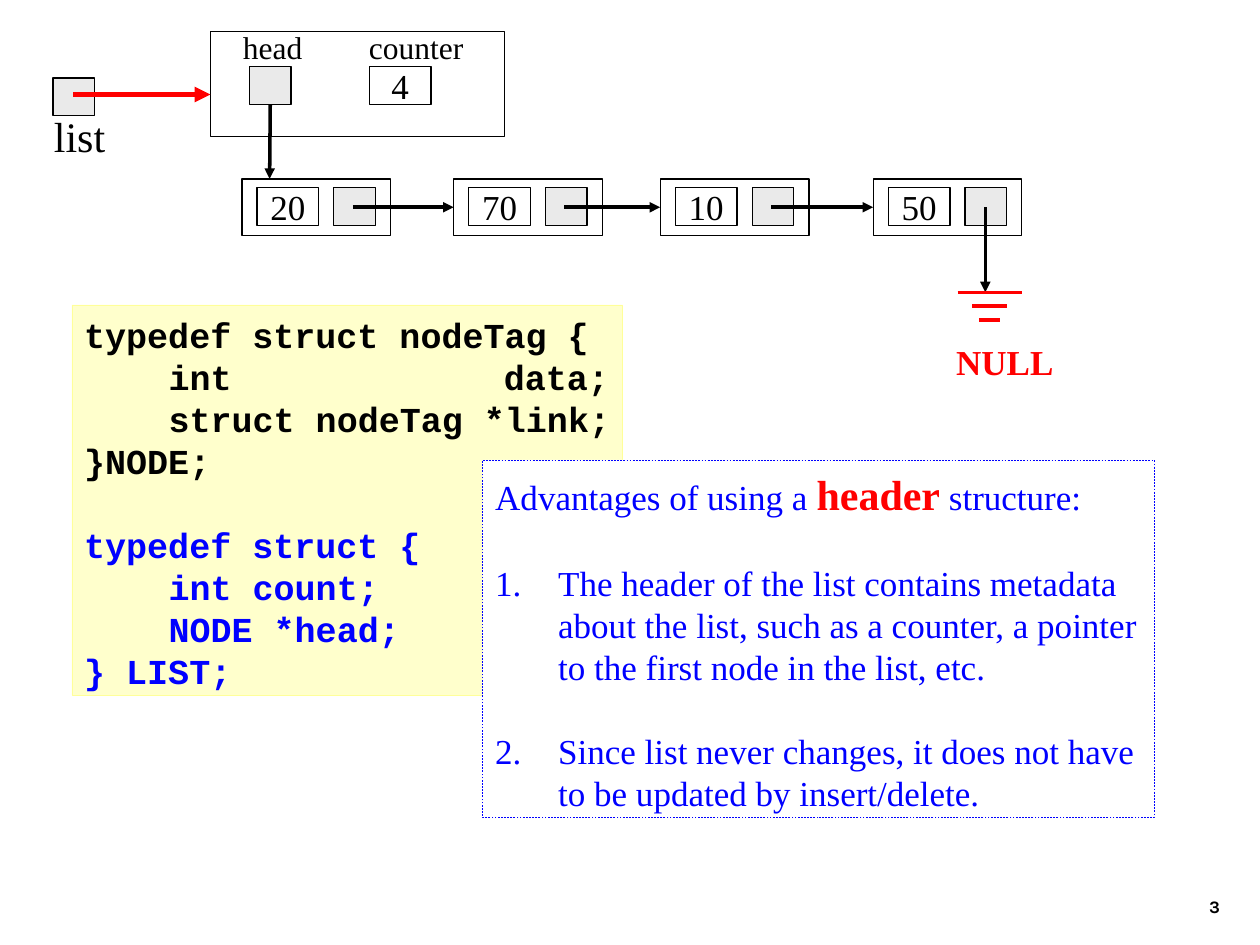
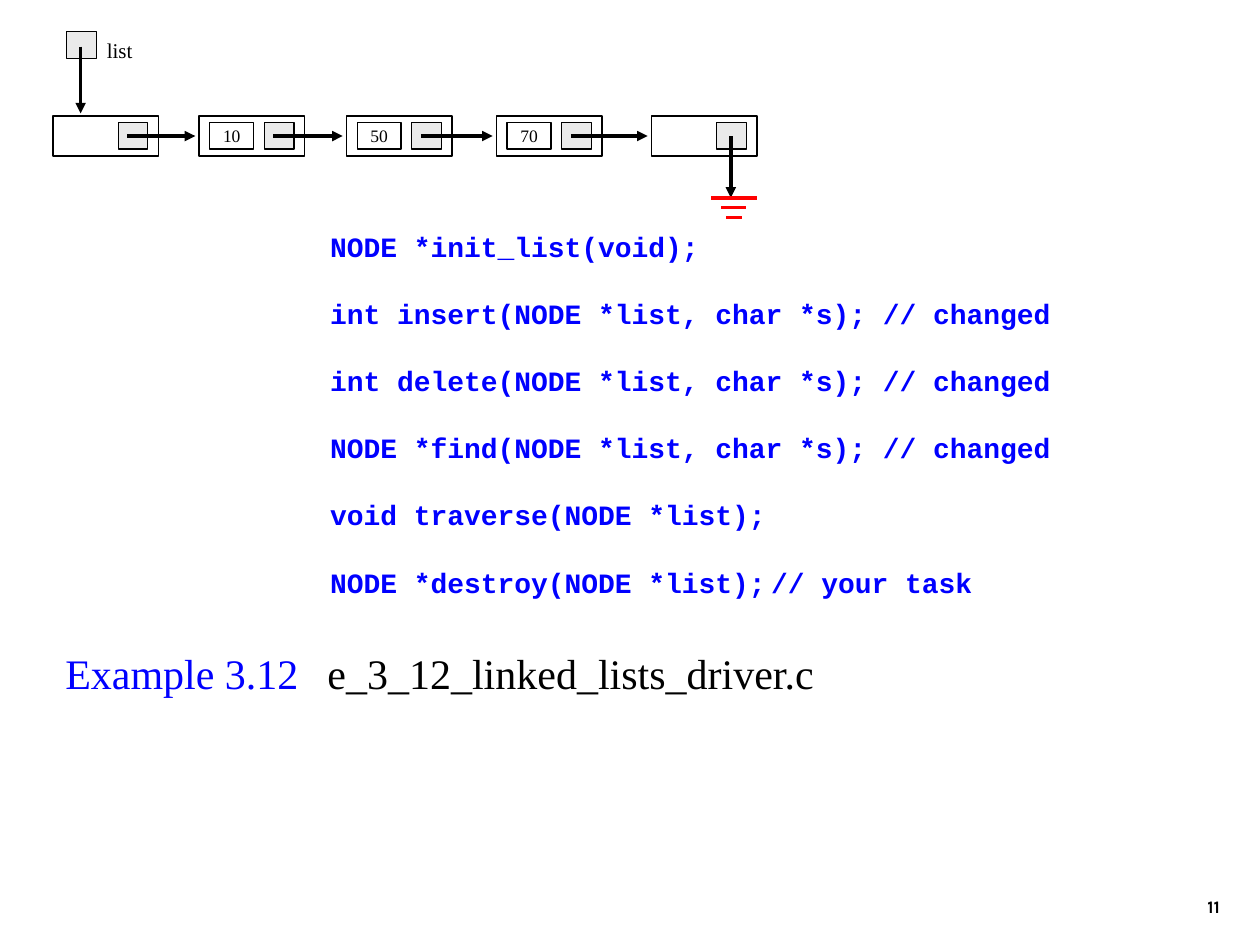
from lxml.etree import SubElement
from pptx import Presentation
from pptx.dml.color import RGBColor
from pptx.enum.dml import MSO_LINE
from pptx.enum.shapes import MSO_CONNECTOR, MSO_SHAPE
from pptx.enum.text import MSO_ANCHOR, MSO_AUTO_SIZE, PP_ALIGN
from pptx.oxml.ns import qn
from pptx.util import Inches, Pt

HUES = {"ink": "000000", "paper": "FFFFFF", "link": "EAEAEA", "red": "FF0000",
        "blue": "0000FF", "note": "FFFFCC", "edge": "FFFF99"}
SERIF, MONO, SANS = "Times New Roman", "Courier New", "Karla"
WIDE, HIGH = 10, 7.5
LEAD = 1.2  # line pitch as a share of the text size

# Full-size node; the smaller diagram scales it
NODE = (1.18, 0.45)
VALUE = (0.49, 0.3)
LINK = (0.33, 0.3)
VALUE_X, LINK_X, PAD = 0.12, 0.73, 0.07
BARS, BAR_GAP = (0.51, 0.28, 0.17), 0.11
SMALL = 0.71


def hue(name):
    return RGBColor.from_string(HUES[name])


def style(par, size, color="ink", face=SERIF, bold=False):
    font = par.font
    font.size, font.name, font.bold = Pt(size), face, bold
    font.color.rgb = hue(color)


def frame(shape, wrap=False, top=0.05, anchor=MSO_ANCHOR.TOP):
    """Set the insets and wrapping of a shape's text and return its frame."""
    text = shape.text_frame
    text.auto_size = MSO_AUTO_SIZE.NONE
    text.word_wrap, text.vertical_anchor = wrap, anchor
    text.margin_left = text.margin_right = Inches(0.1)
    text.margin_top, text.margin_bottom = Inches(top), Inches(0.05)
    return text


def label(slide, text, x, y, w, h, size, **look):
    box = slide.shapes.add_textbox(Inches(x), Inches(y), Inches(w), Inches(h))
    par = frame(box).paragraphs[0]
    par.text = text
    style(par, size, **look)
    return box


def rect(slide, x, y, w, h, fill="paper", line="ink", width=0.75):
    box = slide.shapes.add_shape(MSO_SHAPE.RECTANGLE, Inches(x), Inches(y),
                                 Inches(w), Inches(h))
    box.shadow.inherit = False
    paint(box, fill, line, width)
    return box


def paint(box, fill, line, width):
    if fill:
        box.fill.solid()
        box.fill.fore_color.rgb = hue(fill)
    else:
        box.fill.background()
    box.line.color.rgb = hue(line)
    box.line.width = Pt(width)


def value(slide, text, x, y, size, k=1):
    box = rect(slide, x, y, VALUE[0] * k, VALUE[1] * k)
    par = frame(box, anchor=MSO_ANCHOR.MIDDLE).paragraphs[0]
    par.text, par.alignment = text, PP_ALIGN.CENTER
    style(par, size)


def link(slide, x, y, k=1):
    return rect(slide, x, y, LINK[0] * k, LINK[1] * k, "link")


def node(slide, text, x, y, size, k=1):
    box = rect(slide, x, y, NODE[0] * k, NODE[1] * k)
    if text:
        value(slide, text, x + VALUE_X * k, y + PAD * k, size, k)
    link(slide, x + LINK_X * k, y + PAD * k, k)
    return box


def stroke(slide, x1, y1, x2, y2, color="ink", width=2, head=True):
    wire = slide.shapes.add_connector(MSO_CONNECTOR.STRAIGHT, Inches(x1), Inches(y1),
                                      Inches(x2), Inches(y2))
    wire.line.color.rgb, wire.line.width = hue(color), Pt(width)
    if head:
        SubElement(wire.line._get_or_add_ln(), qn("a:tailEnd"), type="triangle")
    SubElement(wire._element.spPr, qn("a:effectLst"))
    return wire


def ground(slide, x, y1, y2, k=1):
    """Draw the arrow down to the three bars that stand for NULL."""
    stroke(slide, x, y1, x, y2)
    mid = x + 0.035 * k
    for row, bar in enumerate(BARS):
        y, half = y2 + row * BAR_GAP * k, bar * k / 2
        stroke(slide, mid - half, y, mid + half, y, "red", head=False)


def chain(slide, cells, y, size, k, start, gap=0):
    """Draw the nodes, then an arrow from each link to the next node."""
    boxes = [node(slide, text, x, y, size, k) for text, x in cells]
    mid = y + NODE[1] * k / 2
    for (_, x), (_, goal), box in zip(cells, cells[1:], boxes[1:]):
        wire = stroke(slide, x + start, mid, goal - gap, mid)
        if not gap:
            wire.end_connect(box, 1)
    return mid


def stops(par, *spots):
    tabs = SubElement(par._p.get_or_add_pPr(), qn("a:tabLst"))
    for spot in spots:
        SubElement(tabs, qn("a:tab"), pos=str(Inches(spot)), algn="l")


def indent(par, left=0, mark="buNone", **kind):
    props = par._p.get_or_add_pPr()
    props.set("marL", str(Inches(left)))
    props.set("indent", str(-Inches(left)))
    SubElement(props, qn("a:" + mark), **kind)


def lines(text, rows, size, gaps=()):
    """Fill a frame with paragraphs; rows listed in gaps get a line of space above."""
    for row, words in enumerate(rows):
        par = text.paragraphs[0] if row == 0 else text.add_paragraph()
        par.text = words
        par.line_spacing = Pt(size * LEAD)
        par.space_before = Pt(size * LEAD if row in gaps else 0)
    return text.paragraphs


def body(slide, x, y, w, h):
    """Move the body placeholder into place, above what is drawn so far."""
    box = slide.placeholders[1]
    box.left, box.top, box.width, box.height = map(Inches, (x, y, w, h))
    slide.shapes._spTree.append(box._element)
    return box


def page(deck, number):
    slide = deck.slides.add_slide(deck.slide_layouts[1])
    title = slide.shapes.title._element
    title.getparent().remove(title)
    box = label(slide, number, 7.7, 6.83, 2.08, 0.5, 10, face=SANS, bold=True)
    text = frame(box, True, anchor=MSO_ANCHOR.BOTTOM)
    text.paragraphs[0].alignment = PP_ALIGN.RIGHT
    return slide


def header_map(slide):
    cells = [("20", 1.92), ("70", 3.6), ("10", 5.24), ("50", 6.93)]
    mid = chain(slide, cells, 1.42, 20, 1, 0.88)
    ground(slide, 7.82, mid, 2.32)
    label(slide, "NULL", 7.49, 2.65, 0.97, 0.44, 20, color="red", bold=True)
    rect(slide, 1.67, 0.25, 2.33, 0.83, None, width=0.25)
    label(slide, "head", 1.83, 0.17, 0.67, 0.4, 18)
    label(slide, "counter", 2.83, 0.17, 0.95, 0.4, 18)
    value(slide, "4", 2.93, 0.53, 20)
    head = link(slide, 1.98, 0.53)
    stroke(slide, 2.14, 0.83, 2.14, 1.42).begin_connect(head, 2)
    label(slide, "list", 0.33, 0.83, 0.61, 0.5, 24)
    link(slide, 0.42, 0.62)
    stroke(slide, 0.58, 0.75, 1.67, 0.75, "red", 3)


def structs(slide):
    box = rect(slide, 0.57, 2.42, 4.37, 3.1, "note", "edge", 0.25)
    rows = ["typedef struct nodeTag {", "\tint\tdata;", "\tstruct nodeTag *link;",
            "}NODE;", "typedef struct {", "\tint count;", "\tNODE *head;", "} LIST;"]
    pars = lines(frame(box, top=0.07), rows, 20, gaps=(4,))
    for row, par in enumerate(pars):
        par.alignment = PP_ALIGN.LEFT
        style(par, 20, "ink" if row < 4 else "blue", MONO, True)
        stops(par, 0.67, 3.33)


def merits(slide):
    box = body(slide, 3.83, 3.65, 5.33, 2.84)
    paint(box, "paper", "blue", 0.25)
    box.line.dash_style = MSO_LINE.DASH
    rows = ["", "The header of the list contains metadata about the list, such as "
            "a counter, a pointer to the first node in the list, etc.",
            "Since list never changes, it does not have to be updated by insert/delete."]
    lead, *items = lines(frame(box, True, 0.07), rows, 20, gaps=(1, 2))
    style(lead, 20, "blue")
    lead.line_spacing = Pt(24 * LEAD)
    indent(lead)
    for words in ("Advantages of using a ", "header", " structure:"):
        run = lead.add_run()
        run.text = words
        if words == "header":
            run.font.size, run.font.bold = Pt(24), True
            run.font.color.rgb = hue("red")
    for item in items:
        style(item, 20, "blue")
        indent(item, 0.5, "buAutoNum", type="arabicPeriod")


def dummy_map(slide):
    label(slide, "list", 0.75, 0.25, 0.4, 0.3, 12)
    link(slide, 0.53, 0.25, SMALL)
    stroke(slide, 0.64, 0.37, 0.64, 0.9)
    cells = [("", 0.42), ("10", 1.58), ("50", 2.75), ("70", 3.94), ("", 5.17)]
    mid = chain(slide, cells, 0.92, 10, SMALL, 0.59, 0.03)
    ground(slide, 5.8, mid, 1.57, SMALL)


def calls(slide):
    box = body(slide, 2.52, 1.75, 6.98, 3.03)
    rows = ["NODE *init_list(void);",
            "int insert(NODE *list, char *s); // changed",
            "int delete(NODE *list, char *s); // changed",
            "NODE *find(NODE *list, char *s); // changed",
            "void traverse(NODE *list);",
            "NODE *destroy(NODE *list);\t// your task"]
    for par in lines(frame(box, True, 0.07), rows, 16, gaps=range(1, len(rows))):
        style(par, 16, "blue", MONO, True)
        indent(par)
        stops(par, 4.4)


def sample(slide):
    box = label(slide, "Example 3.12\t", 0.42, 5.09, 7.75, 0.5, 24)
    par = frame(box, True).paragraphs[0]
    stops(par, 2.08)
    par.runs[0].font.color.rgb = hue("blue")
    par.add_run().text = "e_3_12_linked_lists_driver.c"


def main():
    deck = Presentation()
    deck.slide_width, deck.slide_height = Inches(WIDE), Inches(HIGH)
    slide = page(deck, "3")
    header_map(slide)
    structs(slide)
    merits(slide)
    slide = page(deck, "11")
    dummy_map(slide)
    calls(slide)
    sample(slide)
    deck.save("out.pptx")


if __name__ == "__main__":
    main()
